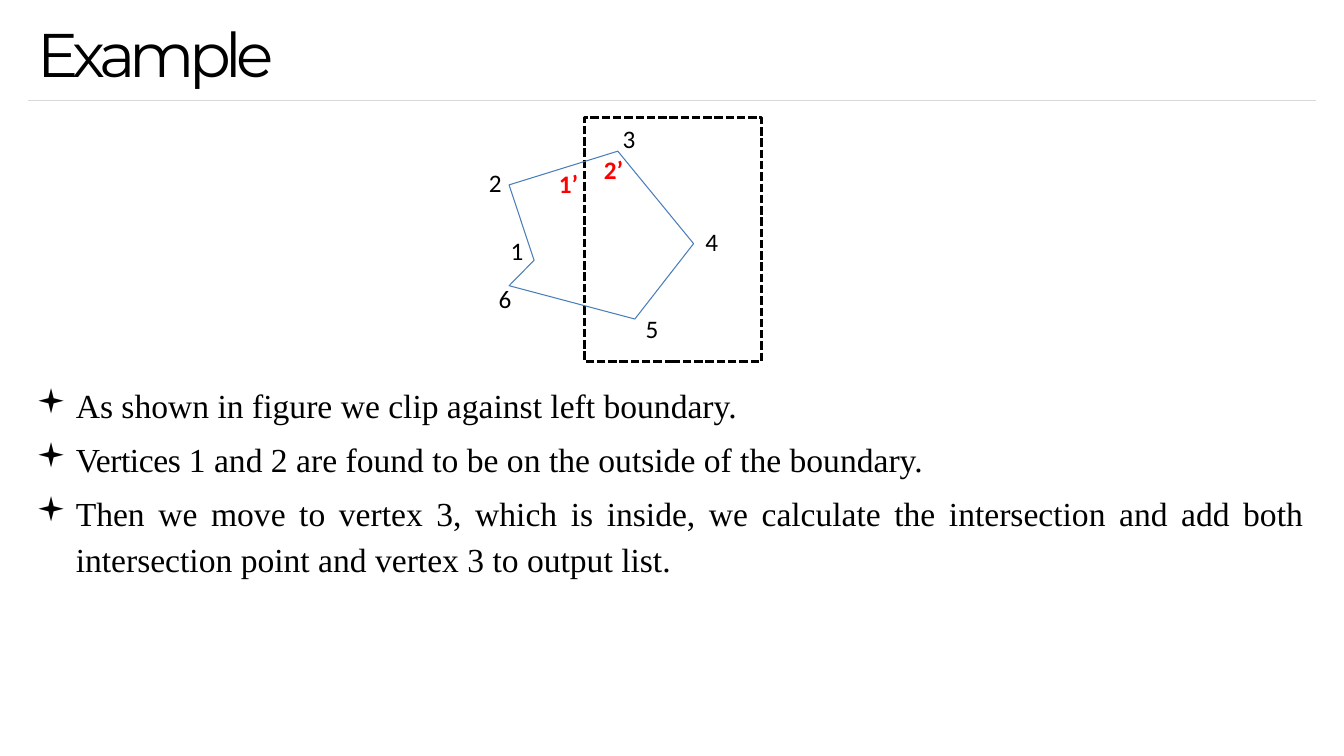
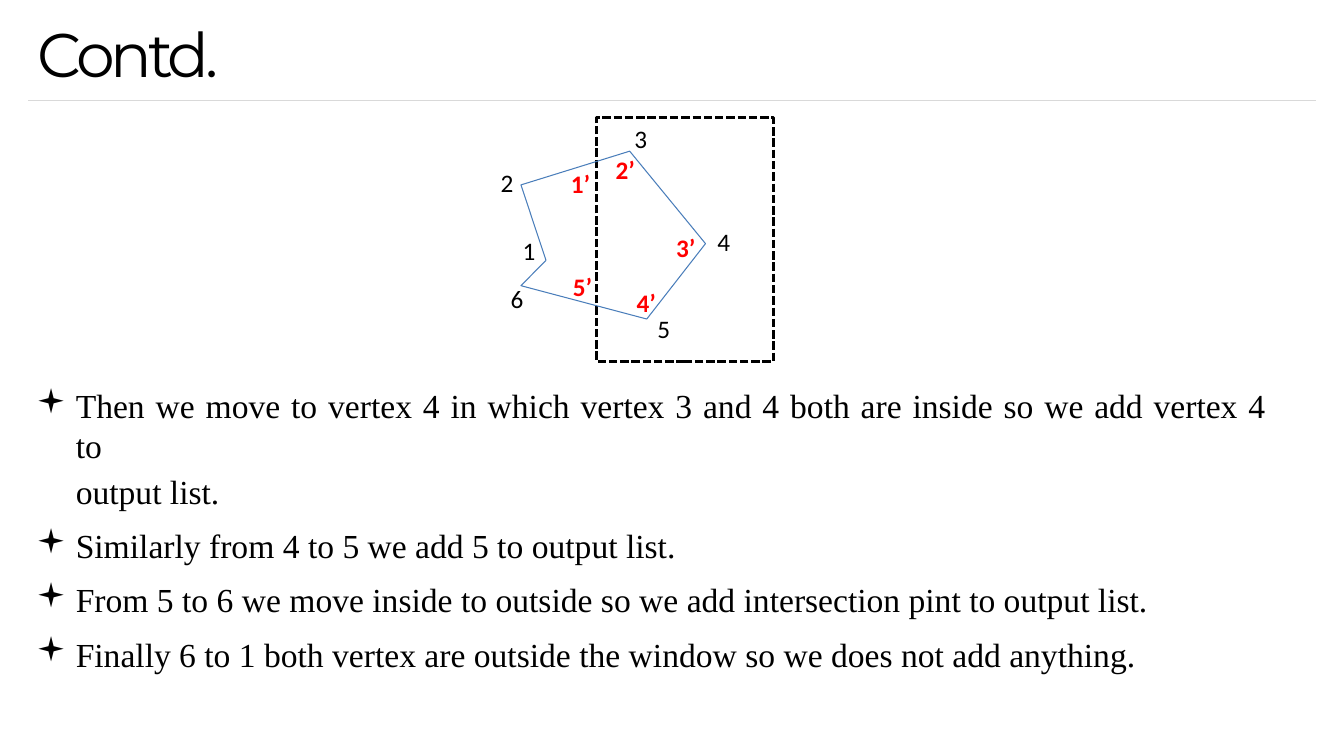
"""Build two slides that explain polygon clipping against the left boundary."""
import pptx
import pptx.dml.color
import pptx.enum.dml
import pptx.enum.shapes
import pptx.enum.text
import pptx.oxml
import pptx.oxml.ns
import pptx.util

Cm = pptx.util.Cm
Pt = pptx.util.Pt
RGBColor = pptx.dml.color.RGBColor
ALIGN = pptx.enum.text.PP_ALIGN
ANCHOR = pptx.enum.text.MSO_ANCHOR

BLACK = RGBColor(0x00, 0x00, 0x00)
RED = RGBColor(0xFF, 0x00, 0x00)
BLUE = RGBColor(0x49, 0x7D, 0xBA)
GREY = RGBColor(0xD9, 0xD9, 0xD9)

TITLE_FONT = "Montserrat"
LABEL_FONT = "Calibri"
BODY_FONT = "Times New Roman"
BULLET_FONT = "Wingdings"

BODY_LEFT, BODY_TOP, BODY_HEIGHT = 0.91, 9.7, 7
BULLET_INDENT = 1
LABEL_WIDTH, LABEL_HEIGHT = 0.8, 0.84

CLIP_WINDOW = (14.73, 2.97, 4.46, 6.14)
VERTICES = [
    (13.46, 6.56), (12.83, 4.66), (15.57, 3.81),
    (17.48, 6.14), (16, 8.04), (12.83, 7.2),
]
VERTEX_LABELS = [
    (13.03, 6.31), (12.48, 4.6), (15.85, 3.49),
    (17.94, 6.08), (16.43, 8.28), (12.73, 7.52),
]
OUTPUT_LABELS = [
    (14.33, 4.63), (15.46, 4.27), (16.98, 6.23), (15.99, 7.62), (14.38, 7.22),
]

SLIDES = [
    {
        "title": "Example",
        "title_spacing": -4,
        "figure_shift": 0,
        "output_count": 2,
        "body_width": 31.95,
        "body": [
            {"text": "As shown in figure we clip against left boundary."},
            {"tight": "Vertices ",
             "text": "1 and 2 are found to be on the outside of the boundary.",
             "before": 9.9},
            {"text": "Then we move to vertex 3, which is inside, we calculate the "
                     "intersection and add both intersection point and vertex 3 "
                     "to output list.",
             "before": 5.6, "lines": 1.14, "justify": True},
        ],
    },
    {
        "title": "Contd.",
        "title_spacing": -3,
        "figure_shift": 0.3,
        "output_count": 5,
        "body_width": 30.99,
        "body": [
            {"text": "Then we move to vertex 4 in which vertex 3 and 4 both are "
                     "inside so we add vertex 4\vto",
             "justify": True},
            {"text": "output list.", "before": 4.1, "bullet": False},
            {"text": "Similarly from 4 to 5 we add 5 to output list.", "before": 9.8},
            {"text": "From 5 to 6 we move inside to outside so we add intersection "
                     "pint to output list.",
             "before": 9.8},
            {"text": "Finally 6 to 1 both vertex are outside the window so we does "
                     "not add anything.",
             "before": 9.8},
        ],
    },
]


def add_text_frame(slide, left, top, width, height, anchor=ANCHOR.TOP):
    box = slide.shapes.add_textbox(Cm(left), Cm(top), Cm(width), Cm(height))
    frame = box.text_frame
    frame.word_wrap = True
    frame.vertical_anchor = anchor
    frame.margin_left = frame.margin_right = 0
    frame.margin_top = frame.margin_bottom = 0
    return frame


def format_runs(paragraph, font_name, size, color=BLACK, bold=False):
    for run in paragraph.runs:
        run.font.name = font_name
        run.font.size = Pt(size)
        run.font.color.rgb = color
        run.font.bold = bold


def set_spacing(run, points):
    run._r.get_or_add_rPr().set("spc", str(round(points * 100)))


def set_outline(shape, color, width):
    shape.fill.background()
    shape.shadow.inherit = False
    shape.line.color.rgb = color
    shape.line.width = Pt(width)


def add_title(slide, title, spacing):
    frame = add_text_frame(slide, 0.95, 0.39, 30, 1.9)
    paragraph = frame.paragraphs[0]
    paragraph.text = title
    format_runs(paragraph, TITLE_FONT, 44)
    set_spacing(paragraph.runs[0], spacing)
    rule = slide.shapes.add_connector(
        pptx.enum.shapes.MSO_CONNECTOR.STRAIGHT, Cm(0.71), Cm(2.54), Cm(33.17), Cm(2.54))
    rule.line.color.rgb = GREY
    rule.line.width = Pt(0.75)
    rule._element.spPr.append(pptx.oxml.parse_xml(
        f"<a:effectLst {pptx.oxml.ns.nsdecls('a')}/>"))


def add_label(slide, text, center_x, center_y, color=BLACK, bold=False):
    frame = add_text_frame(
        slide, center_x - LABEL_WIDTH / 2, center_y - LABEL_HEIGHT / 2,
        LABEL_WIDTH, LABEL_HEIGHT, ANCHOR.MIDDLE)
    paragraph = frame.paragraphs[0]
    paragraph.text = text
    format_runs(paragraph, LABEL_FONT, 18, color, bold)
    paragraph.alignment = ALIGN.CENTER


def add_figure(slide, shift, output_count):
    left, top, width, height = CLIP_WINDOW
    window = slide.shapes.add_shape(
        pptx.enum.shapes.MSO_SHAPE.RECTANGLE,
        Cm(left + shift), Cm(top), Cm(width), Cm(height))
    set_outline(window, BLACK, 2)
    window.line.dash_style = pptx.enum.dml.MSO_LINE.SQUARE_DOT

    points = [(Cm(x + shift), Cm(y)) for x, y in VERTICES]
    builder = slide.shapes.build_freeform(*points[0])
    builder.add_line_segments(points[1:], close=True)
    set_outline(builder.convert_to_shape(), BLUE, 0.75)

    for number, (x, y) in enumerate(VERTEX_LABELS, 1):
        add_label(slide, str(number), x + shift, y)
    for number, (x, y) in enumerate(OUTPUT_LABELS[:output_count], 1):
        add_label(slide, f"{number}’", x + shift, y, RED, True)


def add_bullet(properties):
    properties.set("indent", str(-Cm(BULLET_INDENT)))
    namespace = pptx.oxml.ns.nsdecls("a")
    for tag in (f"buFont {namespace} typeface='{BULLET_FONT}'",
                f"buChar {namespace} char='▪'"):
        properties.append(pptx.oxml.parse_xml(f"<a:{tag}/>"))


def add_body(slide, items, width):
    frame = add_text_frame(slide, BODY_LEFT, BODY_TOP, width, BODY_HEIGHT)
    for index, item in enumerate(items):
        paragraph = frame.add_paragraph() if index else frame.paragraphs[0]
        if "tight" in item:
            paragraph.text = item["tight"]
            set_spacing(paragraph.runs[0], -0.3)
            paragraph.add_run().text = item["text"]
        else:
            paragraph.text = item["text"]
        format_runs(paragraph, BODY_FONT, 24)
        paragraph.space_before = Pt(item.get("before", 0))
        paragraph.line_spacing = item.get("lines", 1.0)
        paragraph.alignment = ALIGN.JUSTIFY if item.get("justify") else ALIGN.LEFT
        properties = paragraph._p.get_or_add_pPr()
        properties.set("marL", str(Cm(BULLET_INDENT)))
        if item.get("bullet", True):
            add_bullet(properties)


def main():
    presentation = pptx.Presentation()
    presentation.slide_width = Cm(33.87)
    presentation.slide_height = Cm(19.05)
    for content in SLIDES:
        slide = presentation.slides.add_slide(presentation.slide_layouts[6])
        add_title(slide, content["title"], content["title_spacing"])
        add_figure(slide, content["figure_shift"], content["output_count"])
        add_body(slide, content["body"], content["body_width"])
    presentation.save("out.pptx")


if __name__ == "__main__":
    main()
